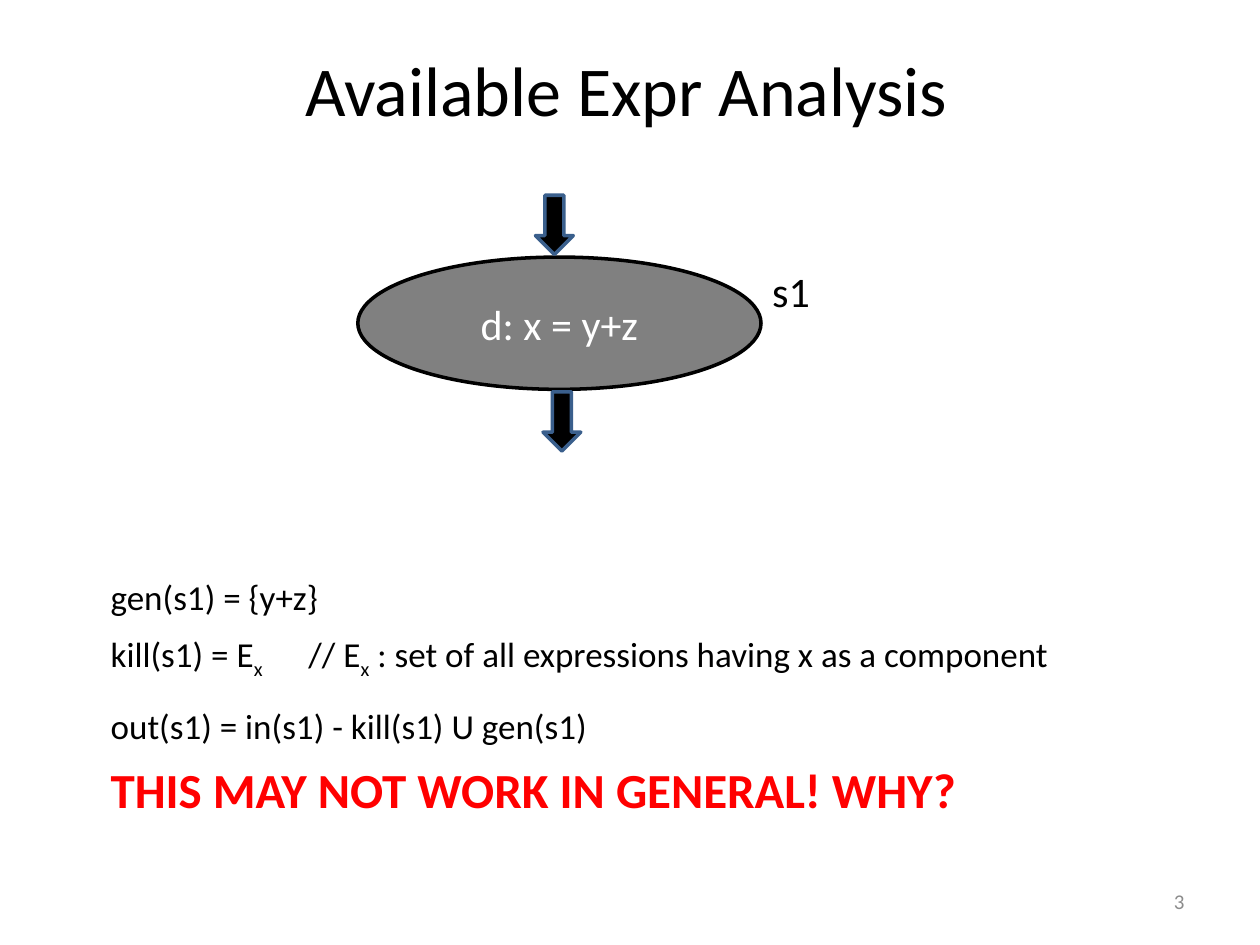
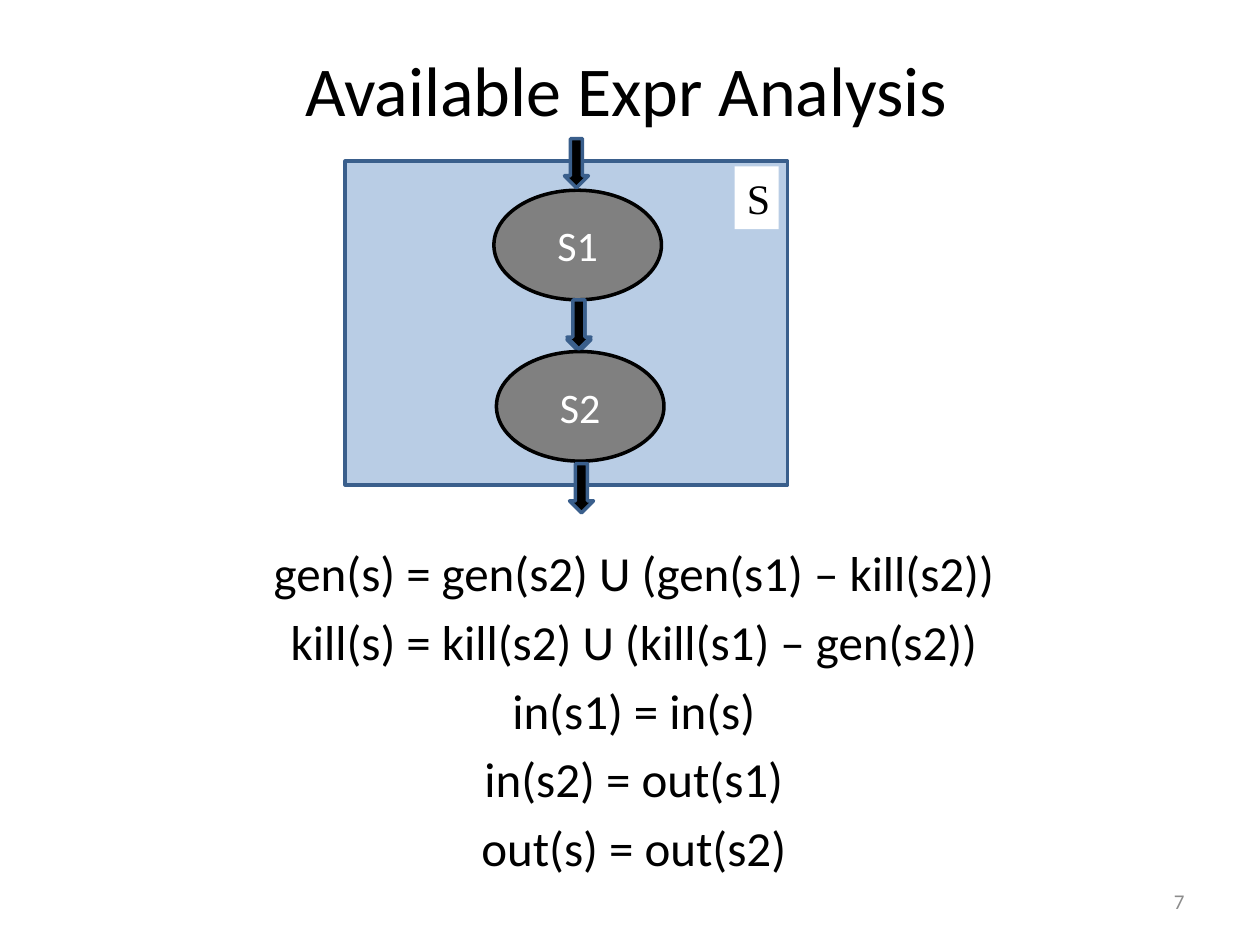
from lxml.etree import SubElement
from pptx import Presentation
from pptx.dml.color import RGBColor
from pptx.enum.shapes import MSO_SHAPE
from pptx.enum.text import MSO_ANCHOR, PP_ALIGN
from pptx.oxml.ns import qn
from pptx.util import Inches, Pt

BLACK = RGBColor(0x00, 0x00, 0x00)
WHITE = RGBColor(0xFF, 0xFF, 0xFF)
GRAY = RGBColor(0x80, 0x80, 0x80)
NUMBER_GRAY = RGBColor(0x8C, 0x8C, 0x8C)
RED = RGBColor(0xFF, 0x00, 0x00)
BLUE = RGBColor(0x3A, 0x5F, 0x8C)
LIGHT_BLUE = RGBColor(0xB9, 0xCD, 0xE5)

TITLE = "Available Expr Analysis"
TITLE_BOX = (0.36, 0.25, 9.22, 0.91)
NUMBER_BOX = (7.17, 6.95, 2.33, 0.4)
ARROW_GAP = 0.02
COMMENT_TAB = 1.57

SUBSCRIPT = {"subscript": True}
WARNING = {"size": 28, "color": RED, "bold": True}

STATEMENT_RULES = [
    [("gen(s1) = {y+z}", {})],
    [("kill(s1) = E", {}), ("x", SUBSCRIPT), ("\t", {"size": 24}), ("// E", {}),
     ("x", SUBSCRIPT), (" : set of all expressions having x as a component", {})],
    [("out(s1) = in(s1) - kill(s1) U gen(s1)", {}), (" ", {"size": 28})],
    [("THIS MAY NOT WORK IN GENERAL! WHY?", WARNING)],
]
SEQUENCE_RULES = [[(rule, {})] for rule in (
    "gen(s) = gen(s2) U (gen(s1) – kill(s2))",
    "kill(s) = kill(s2) U (kill(s1) – gen(s2))",
    "in(s1) = in(s)",
    "in(s2) = out(s1)",
    "out(s) = out(s2)",
)]

SLIDES = [
    {
        "number": "3",
        "rules": STATEMENT_RULES,
        "rules_box": (0.78, 3.83, 8.5, 3.4),
        "rules_style": (20, PP_ALIGN.LEFT, MSO_ANCHOR.MIDDLE),
        "frame": None,
        "label": ("s1", (6.03, 2.06, 0.78, 0.5), "Calibri", None),
        "nodes": [("d: x = y+z", 2.84, 2.04)],
        "node_size": (3.2, 1.05),
        "arrow_size": (0.3, 0.47),
        "arrow_shifts": (-0.04, 0.02),
    },
    {
        "number": "7",
        "rules": SEQUENCE_RULES,
        "rules_box": (0.78, 4.26, 8.5, 2.94),
        "rules_style": (28, PP_ALIGN.CENTER, MSO_ANCHOR.TOP),
        "frame": (2.74, 1.28, 3.51, 2.57),
        "label": ("S", (5.83, 1.32, 0.35, 0.5), "Times New Roman", WHITE),
        "nodes": [("S1", 3.92, 1.51), ("S2", 3.94, 2.79)],
        "node_size": (1.33, 0.87),
        "arrow_size": (0.19, 0.39),
        "arrow_shifts": (-0.01, 0.01),
    },
]


def format_run(run, size, color=BLACK, font="Calibri", bold=False, subscript=False):
    run.font.size = Pt(size)
    run.font.color.rgb = color
    run.font.name = font
    run.font.bold = bold
    if subscript:
        run.font._element.set("baseline", "-25000")


def write_text(shape, text, size, color=BLACK, font="Calibri",
               align=PP_ALIGN.LEFT, anchor=MSO_ANCHOR.MIDDLE):
    frame = shape.text_frame
    frame.text = text
    frame.vertical_anchor = anchor
    paragraph = frame.paragraphs[0]
    paragraph.alignment = align
    format_run(paragraph.runs[0], size, color, font)


def add_text(slide, box, text, size, **style):
    shape = slide.shapes.add_textbox(*map(Inches, box))
    shape.text_frame.word_wrap = True
    write_text(shape, text, size, **style)
    return shape


def add_block(shapes, kind, box, fill, line):
    shape = shapes.add_shape(kind, *map(Inches, box))
    shape.shadow.inherit = False
    shape.fill.solid()
    shape.fill.fore_color.rgb = fill
    shape.line.color.rgb = line
    shape.line.width = Pt(2)
    return shape


def add_node(slide, node, node_size, arrow_size, arrow_shifts):
    text, left, top = node
    width, height = node_size
    arrow_width, arrow_height = arrow_size
    shapes = slide.shapes.add_group_shape().shapes
    ellipse = add_block(shapes, MSO_SHAPE.OVAL, (left, top, width, height), GRAY, BLACK)
    write_text(ellipse, text, 24, WHITE, align=PP_ALIGN.CENTER)
    arrow_tops = (top - ARROW_GAP - arrow_height, top + height + ARROW_GAP)
    for arrow_top, shift in zip(arrow_tops, arrow_shifts):
        arrow_left = left + (width - arrow_width) / 2 + shift
        add_block(shapes, MSO_SHAPE.DOWN_ARROW,
                  (arrow_left, arrow_top, arrow_width, arrow_height), BLACK, BLUE)


def add_tab_stop(paragraph, position):
    tabs = SubElement(paragraph._p.get_or_add_pPr(), qn("a:tabLst"))
    SubElement(tabs, qn("a:tab"), pos=str(Inches(position)), algn="l")


def add_rules(slide, box, rules, base_size, align, anchor):
    frame = slide.shapes.add_textbox(*map(Inches, box)).text_frame
    frame.word_wrap = True
    frame.vertical_anchor = anchor
    for index, rule in enumerate(rules):
        paragraph = frame.add_paragraph() if index else frame.paragraphs[0]
        paragraph.alignment = align
        paragraph.space_before = Pt(0.2 * max(style.get("size", base_size) for _, style in rule))
        if any(text == "\t" for text, _ in rule):
            add_tab_stop(paragraph, COMMENT_TAB)
        for text, style in rule:
            run = paragraph.add_run()
            run.text = text
            format_run(run, **{"size": base_size, **style})


def add_label(slide, text, box, font, fill):
    label = add_text(slide, box, text, 24, font=font, anchor=MSO_ANCHOR.TOP)
    if fill is not None:
        label.fill.solid()
        label.fill.fore_color.rgb = fill


presentation = Presentation()
presentation.slide_width = Inches(10)
presentation.slide_height = Inches(7.5)

for content in SLIDES:
    slide = presentation.slides.add_slide(presentation.slide_layouts[6])
    add_text(slide, TITLE_BOX, TITLE, 40, align=PP_ALIGN.CENTER)
    add_rules(slide, content["rules_box"], content["rules"], *content["rules_style"])
    add_text(slide, NUMBER_BOX, content["number"], 12, color=NUMBER_GRAY, align=PP_ALIGN.RIGHT)
    if content["frame"]:
        add_block(slide.shapes, MSO_SHAPE.RECTANGLE, content["frame"], LIGHT_BLUE, BLUE)
    add_label(slide, *content["label"])
    for node in content["nodes"]:
        add_node(slide, node, content["node_size"], content["arrow_size"], content["arrow_shifts"])

presentation.save("out.pptx")
